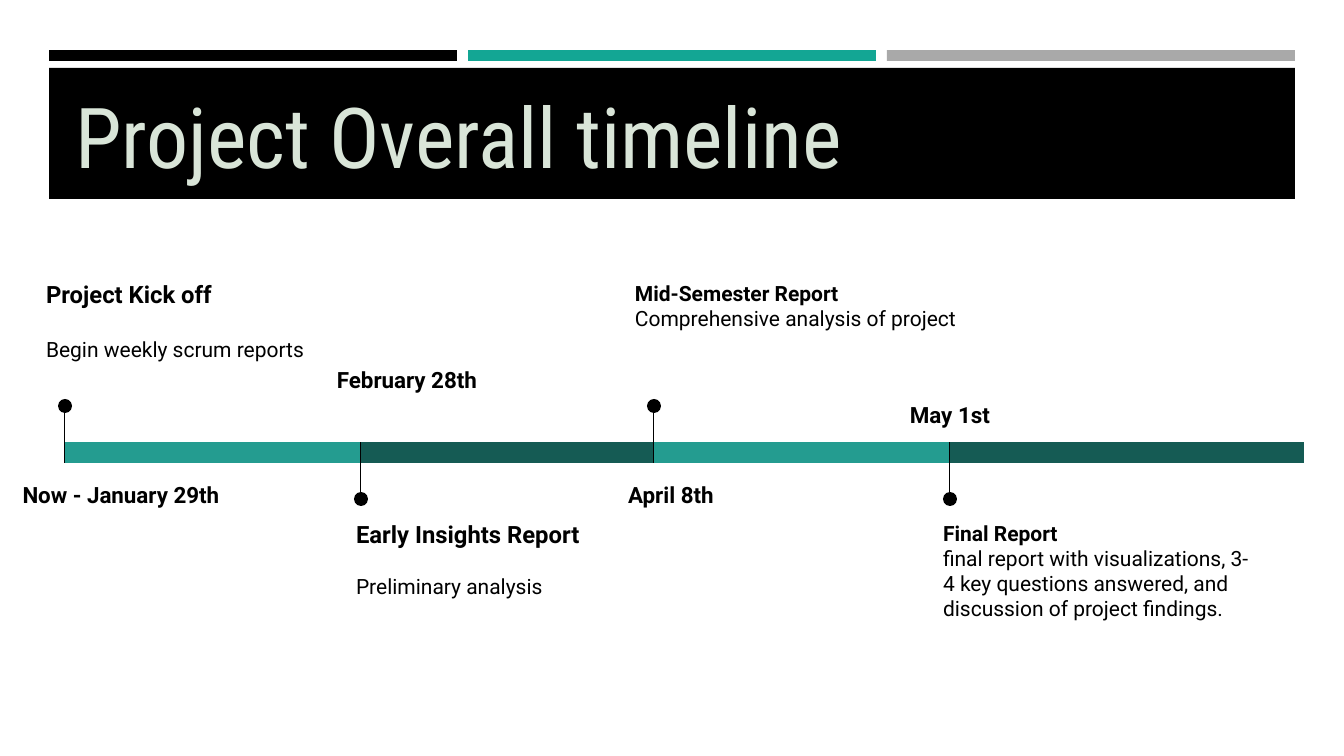
from dataclasses import dataclass
from lxml.etree import SubElement as Sub
from pptx import Presentation
from pptx.dml.color import RGBColor as Rgb
from pptx.enum.shapes import MSO_CONNECTOR as Link, MSO_SHAPE as Kind
from pptx.enum.text import MSO_ANCHOR as Anchor, PP_ALIGN as Align
from pptx.oxml.ns import qn
from pptx.util import Pt


@dataclass(frozen=True)
class Theme:
    black: str = "000000"
    teal: str = "13A694"
    gray: str = "A9A9A9"
    pale: str = "D9E5D8"
    light: str = "249C90"
    dark: str = "155B54"
    font: str = "Roboto"
    narrow: str = "Roboto Condensed"
    title: int = 60
    head: int = 17
    date: int = 16
    body: int = 15


class Board:
    """Draws styled elements on one slide, with lengths in px."""

    def __init__(self, slide, theme):
        self.shapes = slide.shapes
        self.theme = theme

    def emu(self, *sizes):
        return [round(size * 12192000 / 1344) for size in sizes]

    def shape(self, kind, box, fill):
        item = self.shapes.add_shape(kind, *self.emu(*box))
        item.shadow.inherit = False
        item.fill.solid()
        item.fill.fore_color.rgb = Rgb.from_string(fill)
        item.line.fill.background()

    def bar(self, box, fill):
        self.shape(Kind.RECTANGLE, box, fill)

    def dot(self, x, y, size=14):
        half = size // 2
        self.shape(Kind.OVAL, (x - half, y - half, size, size), self.theme.black)

    def stem(self, x, top, end):
        line = self.shapes.add_connector(Link.STRAIGHT, *self.emu(x, top, x, end))
        line.line.color.rgb = Rgb.from_string(self.theme.black)
        line.line.width = Pt(0.75)
        Sub(line._element.spPr, qn("a:effectLst"))

    def text(self, box, *lines, size, font=None, color=None, bold=False,
             align=Align.LEFT, anchor=Anchor.TOP, pad=(13, 13), space=None):
        frame = self.shapes.add_textbox(*self.emu(*box)).text_frame
        frame.word_wrap = True
        frame.vertical_anchor = anchor
        side, edge = self.emu(*pad)
        frame.margin_left = frame.margin_right = side
        frame.margin_top = frame.margin_bottom = edge
        for i, line in enumerate(lines):
            para = frame.add_paragraph() if i else frame.paragraphs[0]
            para.alignment = align
            para.line_spacing = space
            run = para.add_run()
            run.text = line
            run.font.name = font or self.theme.font
            run.font.size = Pt(size)
            run.font.bold = bold and i == 0
            run.font.color.rgb = Rgb.from_string(color or self.theme.black)
        return frame

    def event(self, x, width, fill, up, date, spot, note, place, size, gap):
        self.bar((x, 442, width, 21), fill)
        self.stem(x, *((407, 463) if up else (498, 442)))
        self.dot(x, 406 if up else 499)
        self.text(spot, date, size=self.theme.date, bold=True,
                  align=Align.CENTER, space=1.15)
        frame = self.text(place, *note, size=self.theme.body, bold=True)
        first, last = frame.paragraphs
        first.runs[0].font.size = Pt(size)
        last.space_before = Pt(gap)


def main():
    deck = Presentation()
    theme = Theme()
    deck.slide_width, deck.slide_height = 12192000, 6858000
    board = Board(deck.slides.add_slide(deck.slide_layouts[6]), theme)

    for i, fill in enumerate((theme.black, theme.teal, theme.gray)):
        board.bar((49 + 419 * i, 50, 408, 11), fill)
    board.bar((49, 68, 1246, 131), theme.black)
    board.text((65, 78, 1216, 112), "Project Overall timeline", size=theme.title,
               font=theme.narrow, color=theme.pale, anchor=Anchor.BOTTOM, pad=(10, 5))

    events = (
        (65, 296, theme.light, True, "Now - January 29th", (0, 464, 242, 57),
         ("Project Kick off", "Begin weekly scrum reports"),
         (33, 267, 340, 146), theme.head, 20),
        (361, 295, theme.dark, False, "February 28th", (305, 349, 204, 57),
         ("Early Insights Report", "Preliminary analysis"),
         (343, 507, 340, 146), theme.head, 17.5),
        (654, 295, theme.light, True, "April 8th", (605, 464, 132, 57),
         ("Mid-Semester Report", "Comprehensive analysis of project"),
         (622, 267, 389, 146), theme.body, 0),
        (950, 354, theme.dark, False, "May 1st", (894, 384, 112, 57),
         ("Final Report", "final report with visualizations, 3-4 key questions "
          "answered, and discussion of project findings."),
         (930, 507, 340, 146), theme.body, 0),
    )
    for event in events:
        board.event(*event)
    deck.save("out.pptx")


if __name__ == "__main__":
    main()
